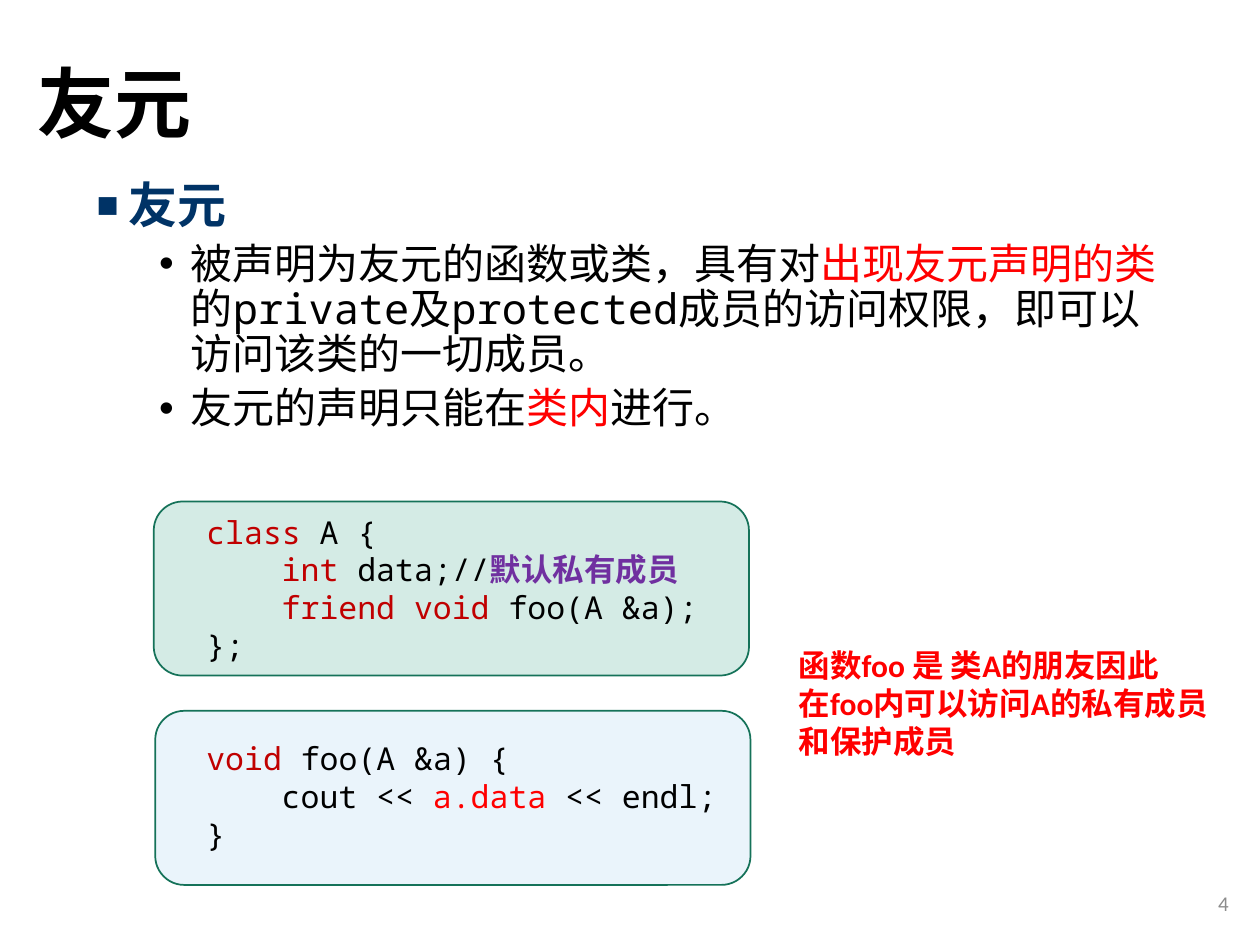
"""Build the slide on friend functions and classes in C++."""
from lxml import etree
from pptx import Presentation
from pptx.dml.color import RGBColor
from pptx.enum import shapes, text
from pptx.oxml import ns
from pptx.util import Cm, Pt

BLACK = RGBColor(0x00, 0x00, 0x00)
NAVY = RGBColor(0x00, 0x33, 0x66)
RED = RGBColor(0xFF, 0x00, 0x00)
CRIMSON = RGBColor(0xC0, 0x00, 0x00)
PURPLE = RGBColor(0x70, 0x30, 0xA0)
GRAY = RGBColor(0x8C, 0x8C, 0x8C)
MINT = RGBColor(0x1D, 0x9A, 0x78)
SKY = RGBColor(0x94, 0xC8, 0xED)
GREEN = RGBColor(0x15, 0x72, 0x59)
HAN, MONO, SANS = "Noto Sans CJK SC", "Noto Sans Mono", "Calibri"


def add_box(left, top, width, height):
    box = slide.shapes.add_textbox(Cm(left), Cm(top), Cm(width), Cm(height))
    box.text_frame.word_wrap = True
    return box.text_frame


def write(frame, first, parts, size, face, bold=False):
    para = frame.paragraphs[0] if first else frame.add_paragraph()
    para.font.size, para.font.name, para.font.bold = Pt(size), face, bold
    etree.SubElement(para.font._element, ns.qn("a:ea"), typeface=HAN)
    for words, color in parts:
        run = para.add_run()
        run.text = words
        run.font.color.rgb = color
        if color == PURPLE:
            run.font.bold = True
    return para


deck = Presentation()
deck.slide_width, deck.slide_height = Cm(25.4), Cm(19.05)
slide = deck.slides.add_slide(deck.slide_layouts[5])

for left, top, color in [(3.1, 10.11, MINT), (3.13, 14.33, SKY)]:
    card = slide.shapes.add_shape(
        shapes.MSO_SHAPE.ROUNDED_RECTANGLE, Cm(left), Cm(top), Cm(12), Cm(3.51))
    card.shadow.inherit = False
    card.fill.solid()
    card.fill.fore_color.rgb = color
    tint = card._element.spPr.find(".//" + ns.qn("a:srgbClr"))
    etree.SubElement(tint, ns.qn("a:alpha"), val="19000")
    card.line.color.rgb = GREEN
    card.line.width = Pt(1)

title = slide.shapes.title
title.left, title.top, title.width, title.height = Cm(0.5), Cm(0.33), Cm(21.9), Cm(3.68)
title.text_frame.vertical_anchor = text.MSO_ANCHOR.MIDDLE
head = write(title.text_frame, True, [("友元", BLACK)], 44, HAN, True)
head.alignment = text.PP_ALIGN.LEFT
head.line_spacing = 0.9

points = [
    (0.64, 10, "■", 75, 28, [("友元", NAVY)]),
    (1.9, 5, "•", 100, 24, [
        ("被声明为友元的函数或类，具有对", BLACK), ("出现友元声明的类", RED),
        ("的private及protected成员的访问权限，即可以访问该类的一切成员。", BLACK)]),
    (1.9, 5, "•", 100, 24, [
        ("友元的声明只能在", BLACK), ("类内", RED), ("进行。", BLACK)]),
]
body = add_box(1.7, 3.53, 22.35, 13.18)
for i, (indent, gap, sign, scale, size, parts) in enumerate(points):
    para = write(body, i == 0, parts, size, MONO, i == 0)
    para.line_spacing, para.space_before = 0.9, Pt(gap)
    props = para._p.get_or_add_pPr()
    props.set("marL", str(Cm(indent)))
    props.set("indent", str(-Cm(0.64)))
    last = props.find(ns.qn("a:defRPr"))
    for tag, key, val in [("buSzPct", "val", str(scale * 1000)),
                          ("buFont", "typeface", "Arial"), ("buChar", "char", sign)]:
        mark = etree.Element(ns.qn("a:" + tag))
        mark.set(key, val)
        last.addprevious(mark)

lines = [
    (0, 0, [("class ", CRIMSON), ("A {", BLACK)]),
    (1, 0, [("int", CRIMSON), (" data;//", BLACK), ("默认私有成员", PURPLE)]),
    (1, 0, [("friend void", CRIMSON), (" foo(A &a);", BLACK)]),
    (0, 0, [("};", BLACK)]),
    (0, 43, [("void", CRIMSON), (" foo(A &a) {", BLACK)]),
    (1, 0, [("cout << ", BLACK), ("a.data ", RED), ("<< endl;", BLACK)]),
    (0, 0, [("}", BLACK)]),
]
code = add_box(3.91, 10.21, 12.7, 7.19)
for i, (depth, gap, parts) in enumerate(lines):
    para = write(code, i == 0, parts, 18, MONO)
    para.space_before = Pt(gap)
    para._p.get_or_add_pPr().set("marL", str(depth * Cm(1.52)))

page = add_box(19.3, 17.7, 5.72, 1.02)
page.vertical_anchor = text.MSO_ANCHOR.MIDDLE
write(page, True, [("4", GRAY)], 12, SANS).alignment = text.PP_ALIGN.RIGHT

note = add_box(15.85, 12.9, 8.84, 2.57)
for i, words in enumerate(["函数foo 是 类A的朋友因此", "在foo内可以访问A的私有成员", "和保护成员"]):
    write(note, i == 0, [(words, RED)], 18, SANS, True)

deck.save("out.pptx")
